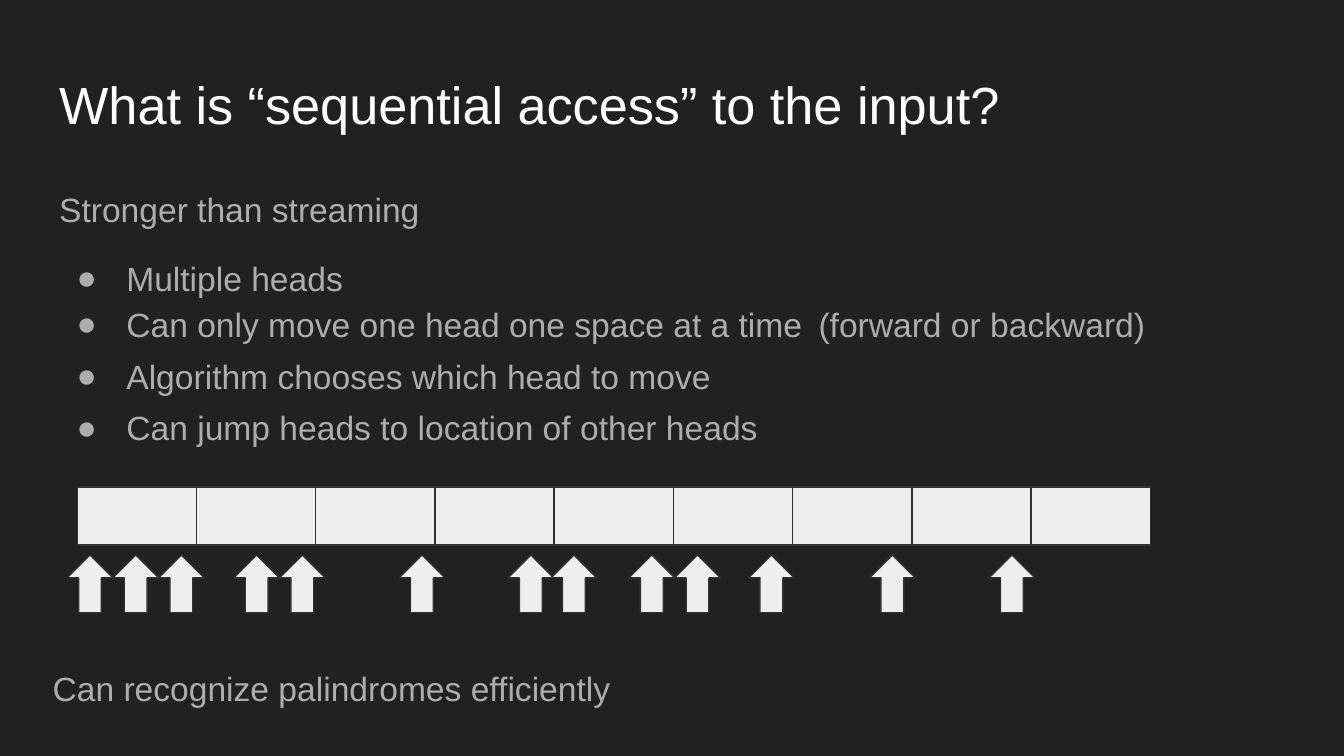
import dataclasses

import lxml.etree
import pptx
import pptx.dml.color
import pptx.enum.shapes
import pptx.enum.text
import pptx.oxml.ns
import pptx.util


@dataclasses.dataclass(frozen=True)
class Theme:
    background: str = "212121"
    title: str = "FFFFFF"
    body: str = "ADADAD"
    shape_fill: str = "EEEEEE"
    shape_line: str = "303030"
    font: str = "Arial"
    title_size: float = 28
    body_size: float = 18
    line_width: float = 0.75


THEME = Theme()

# Grid of square units: 100 columns by 56.25 rows; boxes are left, top, width, height
GRID = pptx.util.Inches(0.1)
COLUMNS, ROWS = 100, 56.25

CELL_COUNT = 9
HEAD_WIDTH, HEAD_HEIGHT = 3.4, 4.3
# Left column of each run of adjoining heads, and how many heads it has
HEAD_RUNS = [(5, 3), (17.4, 2), (29.7, 1), (37.8, 1), (41, 1),
             (46.8, 2), (55.7, 1), (64.7, 1), (73.6, 1)]


def units(*lengths):
    return [round(length * GRID) for length in lengths]


def color(value):
    return pptx.dml.color.RGBColor.from_string(value)


def add_bullet(paragraph):
    properties = paragraph._p.get_or_add_pPr()
    properties.set("marL", str(pptx.util.Inches(0.5)))
    properties.set("indent", str(pptx.util.Inches(-0.37)))
    bullet_color = lxml.etree.SubElement(properties, pptx.oxml.ns.qn("a:buClr"))
    lxml.etree.SubElement(bullet_color, pptx.oxml.ns.qn("a:srgbClr"), val=THEME.body)
    lxml.etree.SubElement(properties, pptx.oxml.ns.qn("a:buFont"), typeface=THEME.font)
    lxml.etree.SubElement(properties, pptx.oxml.ns.qn("a:buChar"), char="●")


def add_text(slide, box, lines, size=THEME.body_size, text_color=THEME.body, spacing=1.15):
    """Lines are (text, bulleted, points before) tuples."""
    frame = slide.shapes.add_textbox(*units(*box)).text_frame
    inset = pptx.util.Inches(0.1)
    frame_format = {
        "word_wrap": True,
        "vertical_anchor": pptx.enum.text.MSO_ANCHOR.TOP,
        "margin_left": inset, "margin_top": inset,
        "margin_right": inset, "margin_bottom": inset,
    }
    for name, value in frame_format.items():
        setattr(frame, name, value)
    for index, (text, bulleted, space_before) in enumerate(lines):
        paragraph = frame.add_paragraph() if index else frame.paragraphs[0]
        if bulleted:
            add_bullet(paragraph)
        paragraph.line_spacing = spacing
        paragraph.space_before = pptx.util.Pt(space_before)
        run = paragraph.add_run()
        run.text = text
        for name, value in {"name": THEME.font, "size": pptx.util.Pt(size)}.items():
            setattr(run.font, name, value)
        run.font.color.rgb = color(text_color)


def add_block(slide, kind, box):
    shape = slide.shapes.add_shape(kind, *units(*box))
    shape.shadow.inherit = False
    shape.fill.solid()
    shape.fill.fore_color.rgb = color(THEME.shape_fill)
    shape.line.color.rgb = color(THEME.shape_line)
    shape.line.width = pptx.util.Pt(THEME.line_width)


def add_title(slide, box):
    add_text(slide, box, [("What is “sequential access” to the input?", False, 0)],
             THEME.title_size, THEME.title, 0.9)


def add_points(slide, box):
    left, top, width, height = box
    # Opening statement and first two points
    add_text(slide, (left, top, 60, 14.6), [
        ("Stronger than streaming", False, 0),
        ("Multiple heads", True, 12),
        ("Can only move one head one space at a time", True, 0),
    ])
    # Remark beside the second point
    add_text(slide, (left + 56.5, top + 8.6, width - 56.5, 5.5),
             [("(forward or backward)", False, 0)])
    # Remaining points
    for row, text_width, text in [
        (12.45, 63.1, "Algorithm chooses which head to move"),
        (16.25, 69.9, "Can jump heads to location of other heads"),
    ]:
        add_text(slide, (left, top + row, text_width, height - 16.25), [(text, True, 0)])


def add_tape(slide, box):
    left, top, width, height = box
    cell_width = width / CELL_COUNT
    for index in range(CELL_COUNT):
        add_block(slide, pptx.enum.shapes.MSO_SHAPE.RECTANGLE,
                  (left + index * cell_width, top, cell_width, height))


def add_heads(slide, box):
    left, top, width, height = box
    for run_left, count in HEAD_RUNS:
        for index in range(count):
            add_block(slide, pptx.enum.shapes.MSO_SHAPE.UP_ARROW,
                      (left + run_left + index * HEAD_WIDTH, top, HEAD_WIDTH, height))


def add_conclusion(slide, box):
    add_text(slide, box, [("Can recognize palindromes efficiently", False, 0)])


def main():
    presentation = pptx.Presentation()
    presentation.slide_width, presentation.slide_height = units(COLUMNS, ROWS)
    slide = presentation.slides.add_slide(presentation.slide_layouts[6])
    slide.background.fill.solid()
    slide.background.fill.fore_color.rgb = color(THEME.background)

    add_title(slide, (3.42, 4.9, 93.2, 6.3))
    add_points(slide, (3.42, 12.6, 89.3, 21.75))
    add_tape(slide, (5.75, 36.25, 79.85, 4.3))
    add_heads(slide, (0, 41.3, COLUMNS, HEAD_HEIGHT))
    add_conclusion(slide, (2.93, 48.25, 93.2, 5.7))
    presentation.save("out.pptx")


if __name__ == "__main__":
    main()
